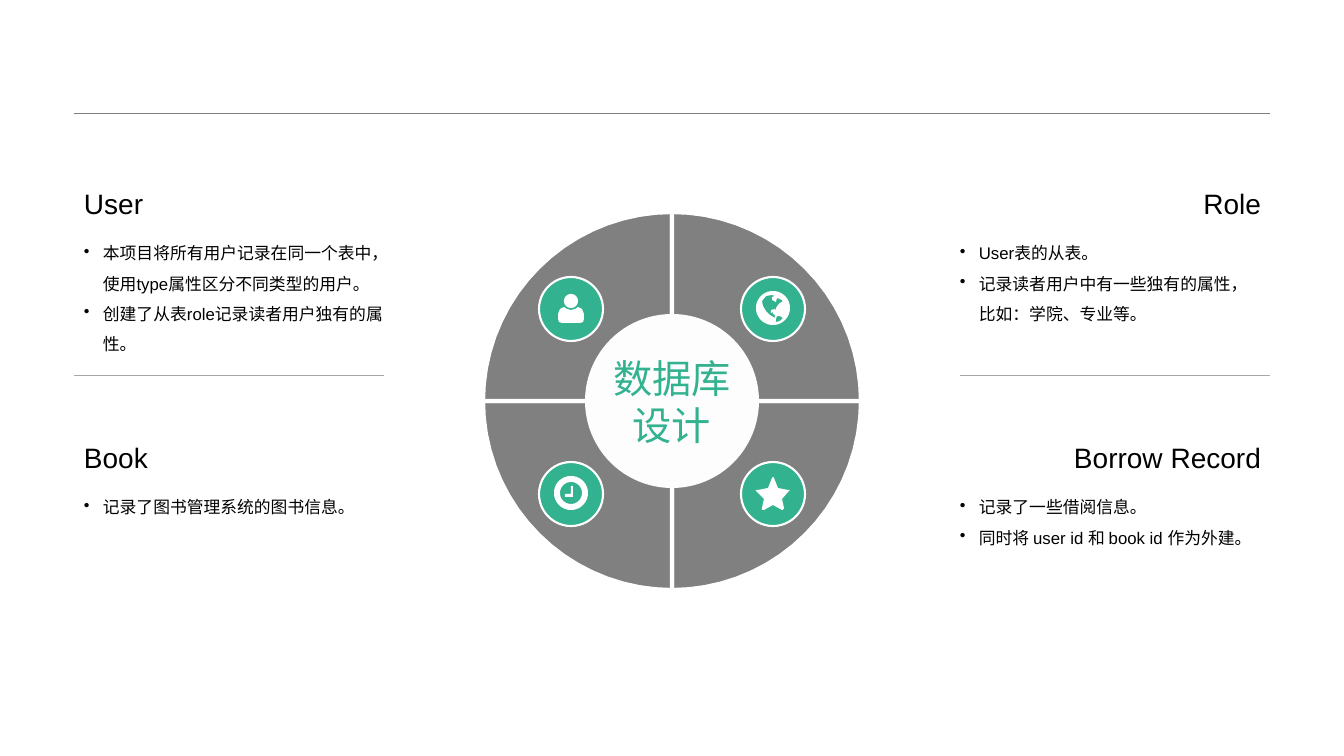
"""Build the database design slide: a four-part wheel with four described tables."""
from dataclasses import dataclass
from math import cos, radians, sin

from lxml import etree
from pptx import Presentation
from pptx.dml.color import RGBColor
from pptx.enum.shapes import MSO_CONNECTOR, MSO_SHAPE
from pptx.enum.text import MSO_ANCHOR, PP_ALIGN
from pptx.oxml.ns import qn
from pptx.util import Emu, Pt

PX = 914400 / 100.8
OVAL = MSO_SHAPE.OVAL
STRAIGHT = MSO_CONNECTOR.STRAIGHT
MIDDLE = MSO_ANCHOR.MIDDLE
LEFT, CENTER, RIGHT = PP_ALIGN.LEFT, PP_ALIGN.CENTER, PP_ALIGN.RIGHT


@dataclass(frozen=True)
class Theme:
    font: str = "Arial"
    text: RGBColor = RGBColor(0, 0, 0)
    white: RGBColor = RGBColor(255, 255, 255)
    hub: RGBColor = RGBColor(0xFD, 0xFD, 0xFE)
    accent: RGBColor = RGBColor(0x33, 0xB2, 0x90)
    wheel: RGBColor = RGBColor(0x80, 0x80, 0x80)
    divider: RGBColor = RGBColor(0xA6, 0xA6, 0xA6)
    hub_size: Pt = Pt(28)
    heading_size: Pt = Pt(20)
    body_size: Pt = Pt(12)


theme = Theme()


def px(*lengths):
    """Turn px lengths into EMU."""
    return [Emu(round(length * PX)) for length in lengths]


def arc(center_x, center_y, radius, start=0, end=360):
    """Return points along an arc, one every five degrees."""
    return [(center_x + radius * cos(radians(angle)), center_y + radius * sin(radians(angle)))
            for angle in range(start, end + 1, 5)]


presentation = Presentation()
presentation.slide_width, presentation.slide_height = px(1344, 756)
slide = presentation.slides.add_slide(presentation.slide_layouts[6])
shapes = slide.shapes

rules = [
    (74, 1270, 113, theme.wheel),
    (74, 384, 375, theme.divider),
    (960, 1270, 375, theme.divider),
]
for start_x, end_x, y, color in rules:
    rule = shapes.add_connector(STRAIGHT, *px(start_x, y, end_x, y))
    rule.line.color.rgb = color
    rule.line.width = Pt(0.25)
    etree.SubElement(rule._element.spPr, qn("a:effectLst"))

WHEEL_X, WHEEL_Y, WHEEL_RADIUS = 672, 401, 189
quadrants = [
    [[(WHEEL_X, WHEEL_Y)] + arc(WHEEL_X, WHEEL_Y, WHEEL_RADIUS, start, start + 90)]
    for start in range(0, 360, 90)
]

person = [
    arc(571, 301, 7),
    [(580, 323), (562, 323), (559, 322), (558, 319), (558, 314), (560, 309), (564, 307),
     (567, 309), (571, 310), (575, 309), (578, 307), (582, 309), (584, 314), (584, 319),
     (583, 322)],
]
globe = [
    arc(773, 308, 17),
    [(766, 296), (762, 301), (763, 306), (766, 311), (770, 315), (775, 318), (775, 315),
     (773, 314), (773, 312), (771, 313), (771, 310), (775, 309), (776, 311), (776, 308),
     (778, 305), (780, 303), (783, 301), (780, 299), (777, 298), (776, 302), (772, 300),
     (772, 297), (775, 296), (772, 295)],
    [(783, 318), (780, 316), (777, 316), (776, 319), (776, 322), (780, 321)],
]
star = [
    [(789, 491), (782, 499), (784, 508), (783, 510), (782, 510), (773, 505), (764, 510),
     (762, 510), (762, 508), (764, 499), (756, 491), (756, 490), (758, 490), (768, 488),
     (772, 478), (773, 477), (774, 478), (778, 488), (788, 490), (790, 490)],
]
clock = [
    arc(571, 493, 17),
    arc(571, 493, 11),
    [(571, 486), (573, 486), (573, 497), (565, 497), (565, 494), (571, 494)],
]

hub = (585, 314, 174, theme.hub, None)
discs = [(left, top, 64, theme.accent, Pt(1.5)) for left in (539, 741) for top in (277, 462)]

outlines = [(quadrant, theme.wheel, Pt(3)) for quadrant in quadrants]
outlines += [(icon, theme.white, None) for icon in (person, globe, star, clock)]
wheel_parts = outlines[:4] + [hub] + discs + outlines[4:]

for part in wheel_parts:
    fill, line_width = part[-2:]
    if len(part) == 5:
        left, top, size = part[:3]
        shape = shapes.add_shape(OVAL, *px(left, top, size, size))
    else:
        contours = [[px(*point) for point in contour] for contour in part[0]]
        builder = shapes.build_freeform(*contours[0][0])
        builder.add_line_segments(contours[0][1:])
        for contour in contours[1:]:
            builder.move_to(*contour[0])
            builder.add_line_segments(contour[1:])
        shape = builder.convert_to_shape()
    shape.shadow.inherit = False
    shape.fill.solid()
    shape.fill.fore_color.rgb = fill
    if line_width:
        shape.line.color.rgb = theme.white
        shape.line.width = line_width
    else:
        shape.line.fill.background()
    if part is hub:
        frame = shape.text_frame
        frame.margin_left = frame.margin_right = frame.margin_top = frame.margin_bottom = 0
        frame.word_wrap = True
        frame.vertical_anchor = MIDDLE
        paragraph = frame.paragraphs[0]
        paragraph.text = "数据库设计"
        paragraph.alignment = CENTER
        paragraph.font.name = theme.font
        paragraph.font.size = theme.hub_size
        paragraph.font.color.rgb = theme.accent

tables = [
    (74, 179, LEFT, "User", [
        "本项目将所有用户记录在同一个表中，使用type属性区分不同类型的用户。",
        "创建了从表role记录读者用户独有的属性。",
    ]),
    (74, 433, LEFT, "Book", ["记录了图书管理系统的图书信息。"]),
    (950, 179, RIGHT, "Role", [
        "User表的从表。",
        "记录读者用户中有一些独有的属性，比如：学院、专业等。",
    ]),
    (950, 433, RIGHT, "Borrow Record", [
        "记录了一些借阅信息。",
        "同时将 user id 和 book id 作为外建。",
    ]),
]
COLUMN_WIDTH, HEADING_HEIGHT, BODY_HEIGHT, BULLET_INDENT = 321, 49, 130, 19

for left, top, alignment, heading, notes in tables:
    heading_box = shapes.add_textbox(*px(left, top, COLUMN_WIDTH, HEADING_HEIGHT))
    heading_box.text_frame.word_wrap = True
    heading_box.text_frame.vertical_anchor = MIDDLE
    paragraph = heading_box.text_frame.paragraphs[0]
    paragraph.text = heading
    paragraph.alignment = alignment
    paragraph.font.name = theme.font
    paragraph.font.size = theme.heading_size
    paragraph.font.color.rgb = theme.text

    body_box = shapes.add_textbox(*px(left, top + HEADING_HEIGHT, COLUMN_WIDTH, BODY_HEIGHT))
    frame = body_box.text_frame
    frame.word_wrap = True
    frame.text = "\n".join(notes)
    for paragraph in frame.paragraphs:
        paragraph.line_spacing = 1.5
        properties = paragraph._p.get_or_add_pPr()
        indent = px(BULLET_INDENT)[0]
        properties.set("marL", str(indent))
        properties.set("indent", str(-indent))
        etree.SubElement(properties, qn("a:buChar")).set("char", "•")
        paragraph.font.name = theme.font
        paragraph.font.size = theme.body_size
        paragraph.font.color.rgb = theme.text

presentation.save("out.pptx")
